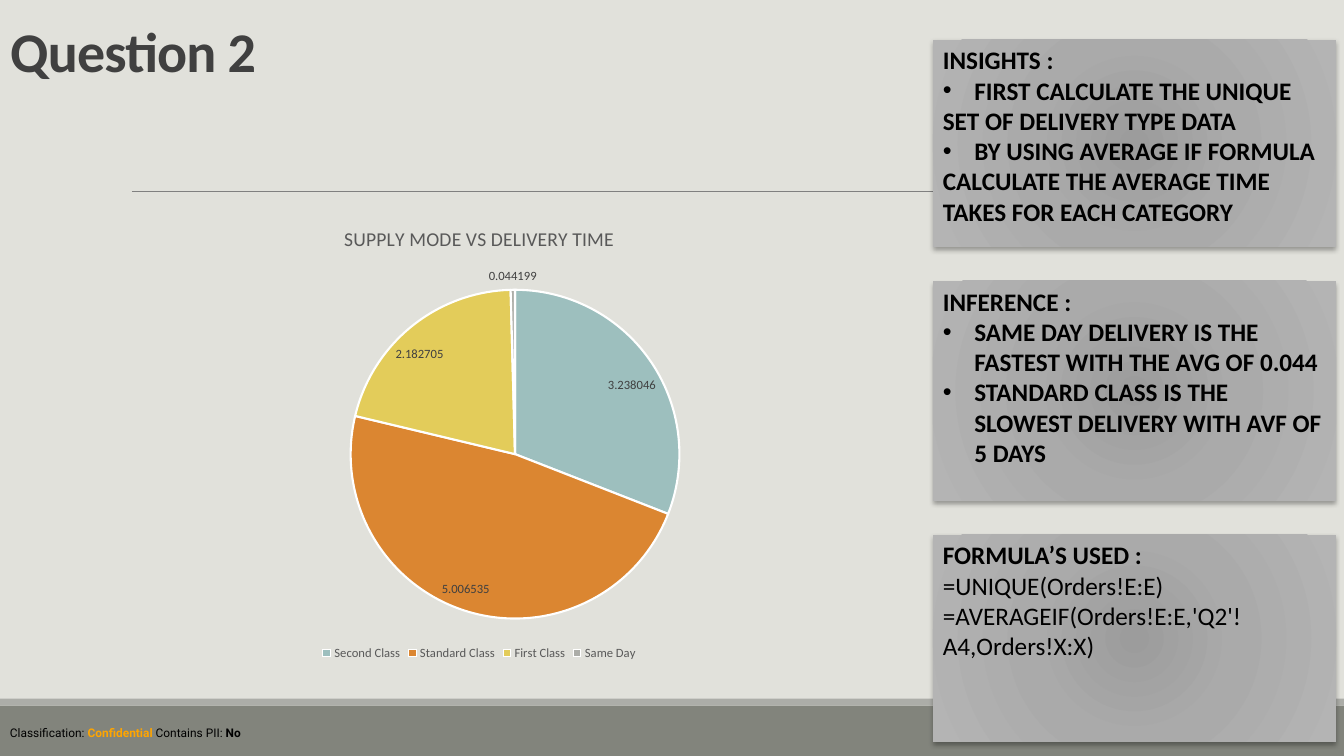
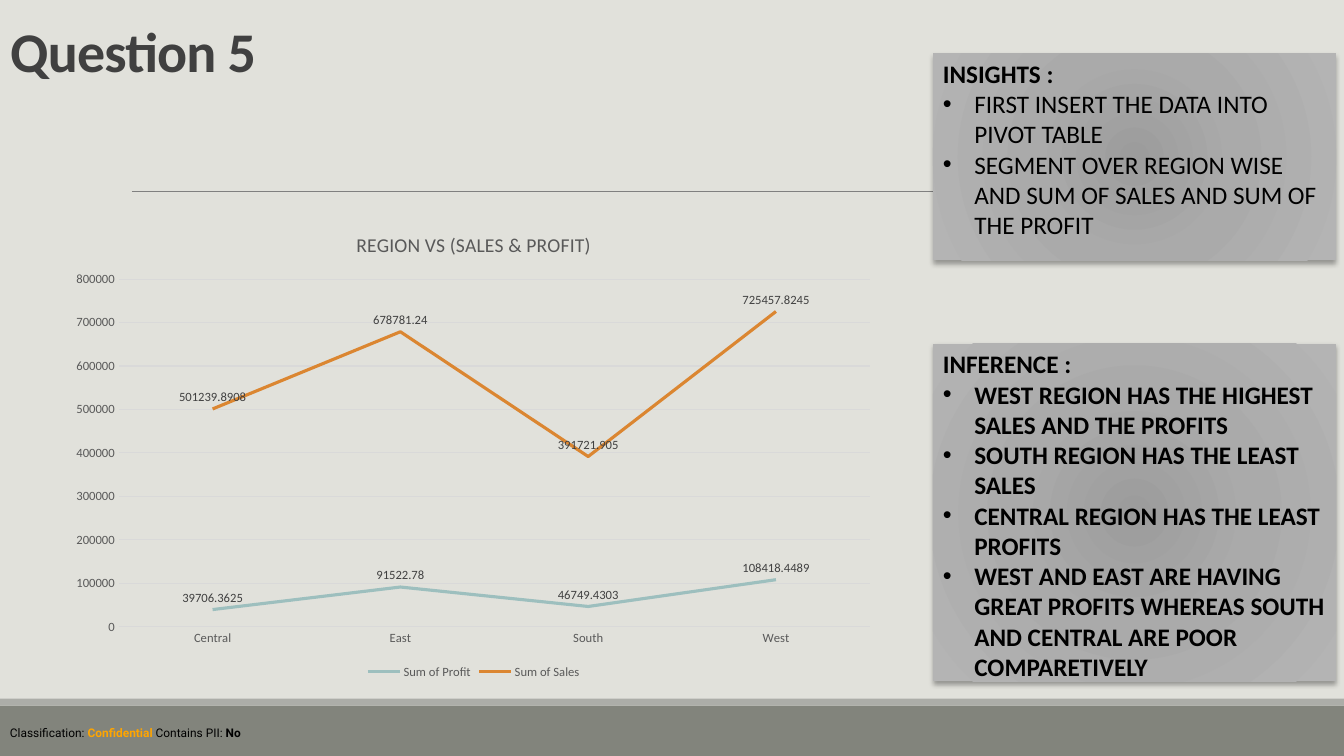
from lxml import etree
from pptx import Presentation
from pptx.chart.data import CategoryChartData
from pptx.dml.color import RGBColor
from pptx.enum.chart import XL_CHART_TYPE as ChartType, XL_LABEL_POSITION as LabelPosition
from pptx.enum.chart import XL_LEGEND_POSITION as LegendPosition, XL_MARKER_STYLE as MarkerStyle
from pptx.enum.chart import XL_TICK_MARK as TickMark
from pptx.enum.shapes import MSO_CONNECTOR as Connector, MSO_SHAPE as Shape
from pptx.enum.text import MSO_ANCHOR as Anchor, MSO_AUTO_SIZE as AutoSize, PP_ALIGN as Align
from pptx.oxml import parse_xml
from pptx.oxml.ns import nsdecls, qn
from pptx.util import Pt

FONT, FOOTER_FONT = "Calibri", "Roboto"
BACKGROUND, BAND, STRIPE, RULE = "E1E1DB", "82847C", "ACADA8", "808080"
BLACK, WHITE, DARK, MUTED, GRID = "000000", "FFFFFF", "404040", "595959", "D9D9D9"
SERIES_COLORS = ["9DBFBE", "DB8631", "E3CC5A", "ACADA8"]
PANEL_GRADIENT = [(0, "9C9C9C"), (45, "AAAAAA"), (100, "B4B4B4")]
PANEL_LEFT, PANEL_WIDTH, BULLET_INDENT = 666.4, 288, 22.5
SLIDE_WIDTH, SLIDE_HEIGHT, BAND_TOP, STRIPE_HEIGHT = 960, 540, 504, 5

FOOTER = [("Classification: ", BLACK, False), ("Confidential", "FFA500", True),
          (" Contains PII: ", BLACK, False), ("No", BLACK, True)]

SLIDES = [
    {
        "title": "Question 2",
        "panels": [
            {"top": 28.4, "height": 148, "heading": "INSIGHTS :", "bold": True, "lines": [
                ("bullet", "FIRST CALCULATE THE UNIQUE"),
                ("plain", "SET OF DELIVERY TYPE DATA"),
                ("bullet", "BY USING AVERAGE IF FORMULA"),
                ("plain", "CALCULATE THE AVERAGE TIME TAKES FOR EACH CATEGORY")]},
            {"top": 200.7, "height": 157, "heading": "INFERENCE :", "bold": True, "lines": [
                ("bullet", "SAME DAY DELIVERY IS THE FASTEST WITH THE AVG OF 0.044"),
                ("bullet", "STANDARD CLASS IS THE SLOWEST DELIVERY WITH AVF OF 5 DAYS")]},
            {"top": 382, "height": 148, "heading": "FORMULA’S USED :", "bold": False, "lines": [
                ("plain", "=UNIQUE(Orders!E:E)"),
                ("plain", "=AVERAGEIF(Orders!E:E,'Q2'!A4,Orders!X:X)")]},
        ],
        "chart": {
            "type": ChartType.PIE,
            "title": "SUPPLY MODE VS DELIVERY TIME",
            "box": (58.3, 148.3, 568.1, 326.2),
            "plot": (0.33, 0.18, 0.43, 0.72),
            "labels": LabelPosition.BEST_FIT,
            "categories": ["Second Class", "Standard Class", "First Class", "Same Day"],
            "series": [("Series 1", [3.238046, 5.006535, 2.182705, 0.044199])],
        },
    },
    {
        "title": "Question 5",
        "panels": [
            {"top": 38, "height": 148, "heading": "INSIGHTS :", "bold": False, "lines": [
                ("bullet", "FIRST INSERT THE DATA INTO PIVOT TABLE"),
                ("bullet", "SEGMENT OVER REGION WISE AND SUM OF SALES AND SUM OF THE PROFIT")]},
            {"top": 245.5, "height": 241.2, "heading": "INFERENCE :", "bold": True, "lines": [
                ("bullet", "WEST REGION HAS THE HIGHEST SALES AND THE PROFITS"),
                ("bullet", "SOUTH REGION HAS THE LEAST SALES"),
                ("bullet", "CENTRAL REGION HAS THE LEAST PROFITS"),
                ("bullet", "WEST AND EAST ARE HAVING GREAT PROFITS WHEREAS SOUTH "
                           "AND CENTRAL ARE POOR COMPARETIVELY")]},
        ],
        "chart": {
            "type": ChartType.LINE,
            "title": "REGION VS (SALES & PROFIT)",
            "box": (43.5, 152.4, 589.7, 335.7),
            "plot": (0.07, 0.14, 0.91, 0.74),
            "labels": LabelPosition.ABOVE,
            "categories": ["Central", "East", "South", "West"],
            "series": [
                ("Sum of Profit", [39706.3625, 91522.78, 46749.4303, 108418.4489]),
                ("Sum of Sales", [501239.8908, 678781.24, 391721.905, 725457.8245]),
            ],
        },
    },
]


def color(value):
    """Turn a hex string into a colour."""
    return RGBColor.from_string(value)


def box(*lengths):
    """Turn point values into lengths."""
    return [Pt(length) for length in lengths]


def style(font, size, hex_color, bold=False, name=FONT):
    """Set the face, size, colour and weight of a font."""
    font.name, font.size, font.bold = name, Pt(size), bold
    font.color.rgb = color(hex_color)


def paint_line(line, hex_color, width):
    """Give a line a solid colour and a width."""
    line.color.rgb = color(hex_color)
    line.width = Pt(width)


def add_bar(slide, top, height, fill):
    """Draw a full-width bar."""
    bar = slide.shapes.add_shape(Shape.RECTANGLE, *box(0, top, SLIDE_WIDTH, height))
    bar.shadow.inherit = False
    bar.fill.solid()
    bar.fill.fore_color.rgb = color(fill)
    bar.line.fill.background()


def add_frame(slide):
    """Draw the bands, the rule and the classification footer."""
    add_bar(slide, BAND_TOP, SLIDE_HEIGHT - BAND_TOP, BAND)
    add_bar(slide, BAND_TOP - STRIPE_HEIGHT, STRIPE_HEIGHT, STRIPE)
    rule = slide.shapes.add_connector(Connector.STRAIGHT, *box(94.3, 136.8, 879.1, 136.8))
    paint_line(rule.line, RULE, 0.5)
    etree.SubElement(rule._element.spPr, qn("a:effectLst"))
    footer = slide.shapes.add_textbox(*box(0, 514.8, SLIDE_WIDTH, 17.3))
    footer.text_frame.word_wrap = True
    paragraph = footer.text_frame.paragraphs[0]
    for text, hex_color, bold in FOOTER:
        run = paragraph.add_run()
        run.text = text
        style(run.font, 8.5, hex_color, bold, FOOTER_FONT)


def set_title(slide, text):
    """Place and format the title placeholder."""
    title = slide.shapes.title
    title.left, title.top, title.width, title.height = box(0, -0.7, 278.6, 64.1)
    frame = title.text_frame
    frame.text = text
    frame.auto_size, frame.vertical_anchor = AutoSize.NONE, Anchor.BOTTOM
    paragraph = frame.paragraphs[0]
    paragraph.alignment, paragraph.line_spacing = Align.LEFT, 0.85
    style(paragraph.font, 40, DARK, True)
    paragraph.runs[0].font._element.set("spc", "-50")


def add_bullet(paragraph):
    """Give a paragraph a hanging bullet."""
    properties = paragraph._p.get_or_add_pPr()
    properties.set("marL", str(Pt(BULLET_INDENT)))
    properties.set("indent", str(-Pt(BULLET_INDENT)))
    bullet_font = parse_xml(f'<a:buFont {nsdecls("a")} typeface="Arial"/>')
    bullet = parse_xml(f'<a:buChar {nsdecls("a")} char="•"/>')
    default_run = properties.find(qn("a:defRPr"))
    default_run.addprevious(bullet_font)
    default_run.addprevious(bullet)


def add_panel(slide, panel):
    """Draw a shaded note panel with a heading and its lines."""
    shape = slide.shapes.add_shape(
        Shape.RECTANGLE, *box(PANEL_LEFT, panel["top"], PANEL_WIDTH, panel["height"]))
    shape.line.fill.background()
    shape.shadow.inherit = False
    properties = shape._element.spPr
    stops = "".join(f'<a:gs pos="{position * 1000}"><a:srgbClr val="{value}"/></a:gs>'
                    for position, value in PANEL_GRADIENT)
    properties.find(qn("a:ln")).addprevious(parse_xml(
        f'<a:gradFill {nsdecls("a")}><a:gsLst>{stops}</a:gsLst><a:path path="circle">'
        '<a:fillToRect l="100000" t="100000" r="100000" b="100000"/></a:path></a:gradFill>'))
    properties.find(qn("a:effectLst")).append(parse_xml(
        f'<a:outerShdw {nsdecls("a")} blurRad="{Pt(3.5)}" dist="{Pt(2.2)}" dir="5400000" '
        'rotWithShape="0"><a:srgbClr val="000000"><a:alpha val="32000"/></a:srgbClr></a:outerShdw>'))
    frame = shape.text_frame
    frame.word_wrap, frame.vertical_anchor = True, Anchor.TOP
    lines = [("heading", panel["heading"])] + panel["lines"]
    for index, (kind, text) in enumerate(lines):
        paragraph = frame.add_paragraph() if index else frame.paragraphs[0]
        paragraph.text, paragraph.alignment = text, Align.LEFT
        style(paragraph.font, 18, BLACK, panel["bold"] or kind == "heading")
        if kind == "bullet":
            add_bullet(paragraph)


def place_plot(chart, fractions):
    """Fix the inner plot area as fractions of the chart."""
    modes = '<c:xMode val="edge"/><c:yMode val="edge"/>'
    sizes = "".join(f'<c:{key} val="{value}"/>' for key, value in zip("xywh", fractions))
    plot_area = chart._chartSpace.chart.plotArea
    for layout in plot_area.findall(qn("c:layout")):
        plot_area.remove(layout)
    plot_area.insert(0, parse_xml(
        f'<c:layout {nsdecls("c")}><c:manualLayout><c:layoutTarget val="inner"/>'
        f'{modes}{sizes}</c:manualLayout></c:layout>'))


def format_axes(chart):
    """Style the category and value axes."""
    for axis in (chart.category_axis, chart.value_axis):
        axis.major_tick_mark = axis.minor_tick_mark = TickMark.NONE
        style(axis.tick_labels.font, 9, MUTED)
    paint_line(chart.category_axis.format.line, GRID, 0.75)
    chart.value_axis.format.line.fill.background()
    paint_line(chart.value_axis.major_gridlines.format.line, GRID, 0.75)


def format_series(series, hex_color, is_pie):
    """Colour the slices of a pie or the line of a series."""
    if is_pie:
        for index in range(len(series.values)):
            point = series.points[index].format
            point.fill.solid()
            point.fill.fore_color.rgb = color(SERIES_COLORS[index])
            paint_line(point.line, WHITE, 1.5)
    else:
        series.smooth = False
        series.marker.style = MarkerStyle.NONE
        paint_line(series.format.line, hex_color, 2.25)


def add_chart(slide, content):
    """Add a labelled pie or line chart."""
    data = CategoryChartData()
    data.categories = content["categories"]
    for name, values in content["series"]:
        data.add_series(name, values)
    chart = slide.shapes.add_chart(content["type"], *box(*content["box"]), data).chart
    is_pie = content["type"] == ChartType.PIE
    style(chart.font, 10, BLACK)
    chart.has_title = True
    chart.chart_title.text_frame.text = content["title"]
    style(chart.chart_title.text_frame.paragraphs[0].font, 14, MUTED)
    chart.has_legend = True
    chart.legend.position = LegendPosition.BOTTOM
    chart.legend.include_in_layout = False
    style(chart.legend.font, 9, MUTED)
    plot = chart.plots[0]
    plot.vary_by_categories = is_pie
    for series, hex_color in zip(plot.series, SERIES_COLORS):
        format_series(series, hex_color, is_pie)
        labels = series.data_labels
        labels.show_value, labels.position = True, content["labels"]
        style(labels.font, 9, DARK)
    if not is_pie:
        format_axes(chart)
    place_plot(chart, content["plot"])


def main():
    """Build and save the presentation."""
    presentation = Presentation()
    presentation.slide_width, presentation.slide_height = box(SLIDE_WIDTH, SLIDE_HEIGHT)
    background = presentation.slide_master.background.fill
    background.solid()
    background.fore_color.rgb = color(BACKGROUND)
    for content in SLIDES:
        slide = presentation.slides.add_slide(presentation.slide_layouts[5])
        add_frame(slide)
        set_title(slide, content["title"])
        add_chart(slide, content["chart"])
        for panel in content["panels"]:
            add_panel(slide, panel)
    presentation.save("out.pptx")


if __name__ == "__main__":
    main()
